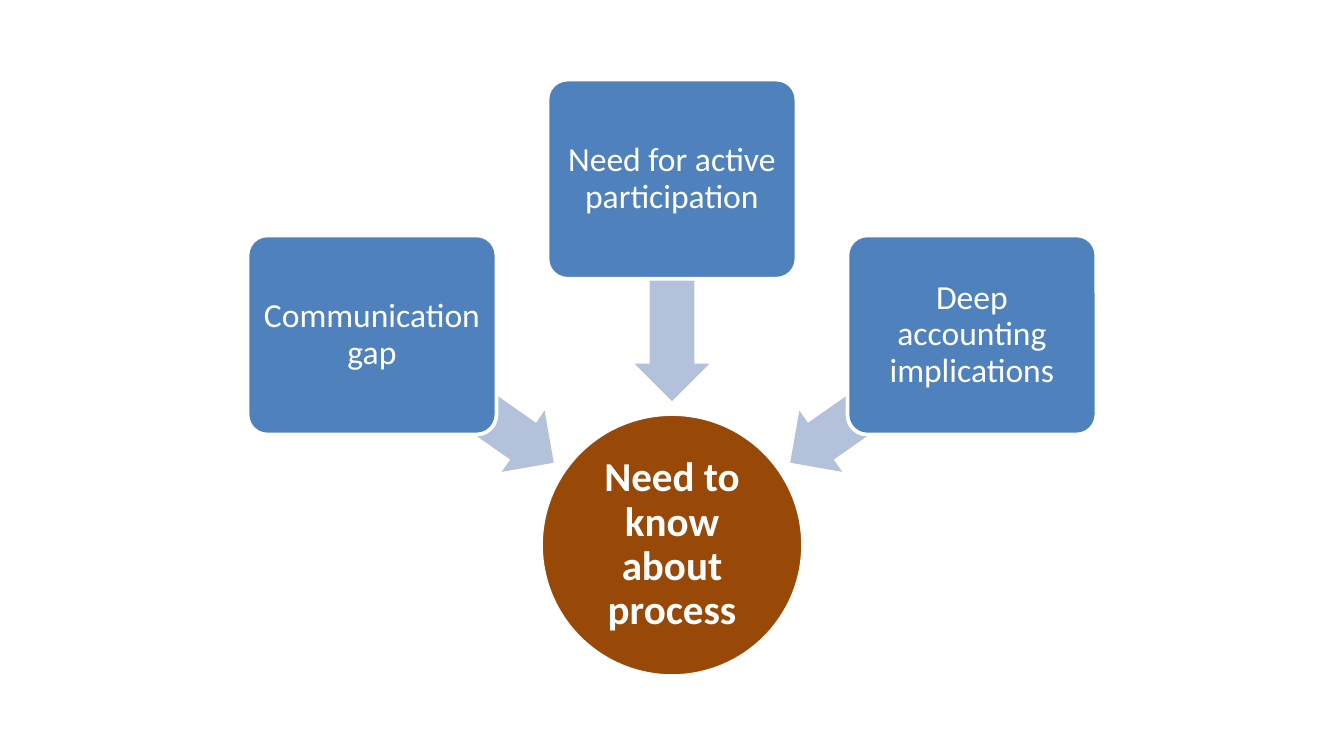
from pptx import Presentation
from pptx.dml.color import RGBColor
from pptx.enum.shapes import MSO_SHAPE as Kind
from pptx.enum.text import MSO_ANCHOR as Anchor, PP_ALIGN as Align
from pptx.util import Pt


def color(code):
    return RGBColor.from_string(code)


def draw(kind, mid, y, wide, high, fill, text="", size=18, bold=False, inset=2.9, edge=True):
    shape = slide.shapes.add_shape(
        kind, Pt(mid - wide / 2), Pt(y - high / 2), Pt(wide), Pt(high))
    shape.shadow.inherit = False
    shape.fill.solid()
    shape.fill.fore_color.rgb = color(fill)
    if edge:
        shape.line.color.rgb = color("FFFFFF")
        shape.line.width = Pt(2)
    else:
        shape.line.fill.background()
    if text:
        frame = shape.text_frame
        frame.word_wrap = True
        frame.vertical_anchor = Anchor.MIDDLE
        frame.margin_left = frame.margin_right = Pt(inset)
        frame.margin_top = frame.margin_bottom = Pt(inset)
        para = frame.paragraphs[0]
        para.alignment = Align.CENTER
        para.line_spacing = 0.9
        run = para.add_run()
        run.text = text
        run.font.name = "Calibri"
        run.font.size = Pt(size)
        run.font.bold = bold
        run.font.color.rgb = color("FFFFFF")
    return shape


deck = Presentation()
deck.slide_width, deck.slide_height = Pt(720), Pt(405)
slide = deck.slides.add_slide(deck.slide_layouts[6])

center = 360
draw(Kind.OVAL, center, 292, 140.4, 140.4, "984807",
     "Need to know about process", size=22, bold=True, inset=1.4)

needs = [
    ("Communication gap", -1, 179.5, 213.8, 215),
    ("Need for active participation", 0, 96, 155.5, 270),
    ("Deep accounting implications", 1, 179.5, 213.8, 325),
]
for text, side, top, low, turn in needs:
    arrow = draw(Kind.LEFT_ARROW, center + side * 112, low, 118.8, 40.1, "B3C1DB", edge=False)
    arrow.adjustments[0] = 0.6
    arrow.adjustments[1] = 0.5
    arrow.rotation = turn
    box = draw(Kind.ROUNDED_RECTANGLE, center + side * 160.7, top, 133.4, 106.7, "4F81BD", text)
    box.adjustments[0] = 0.1

deck.save("out.pptx")
